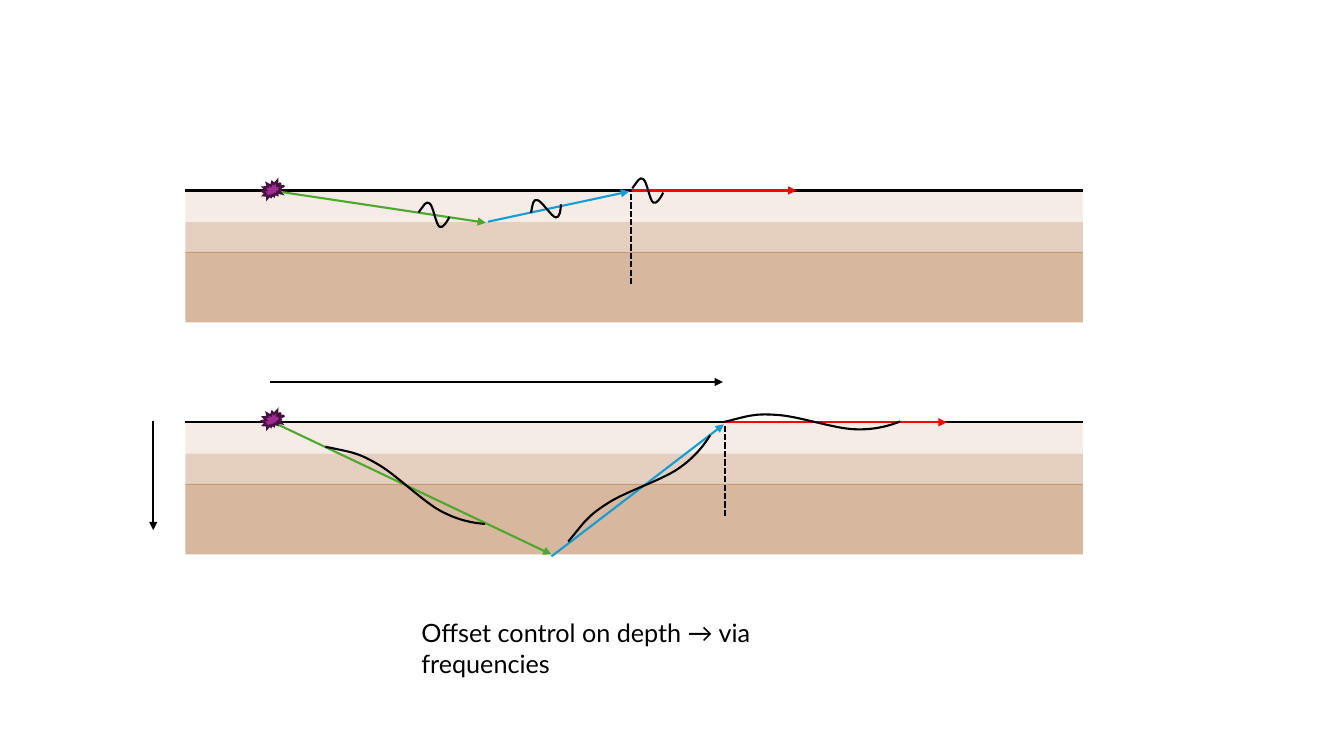
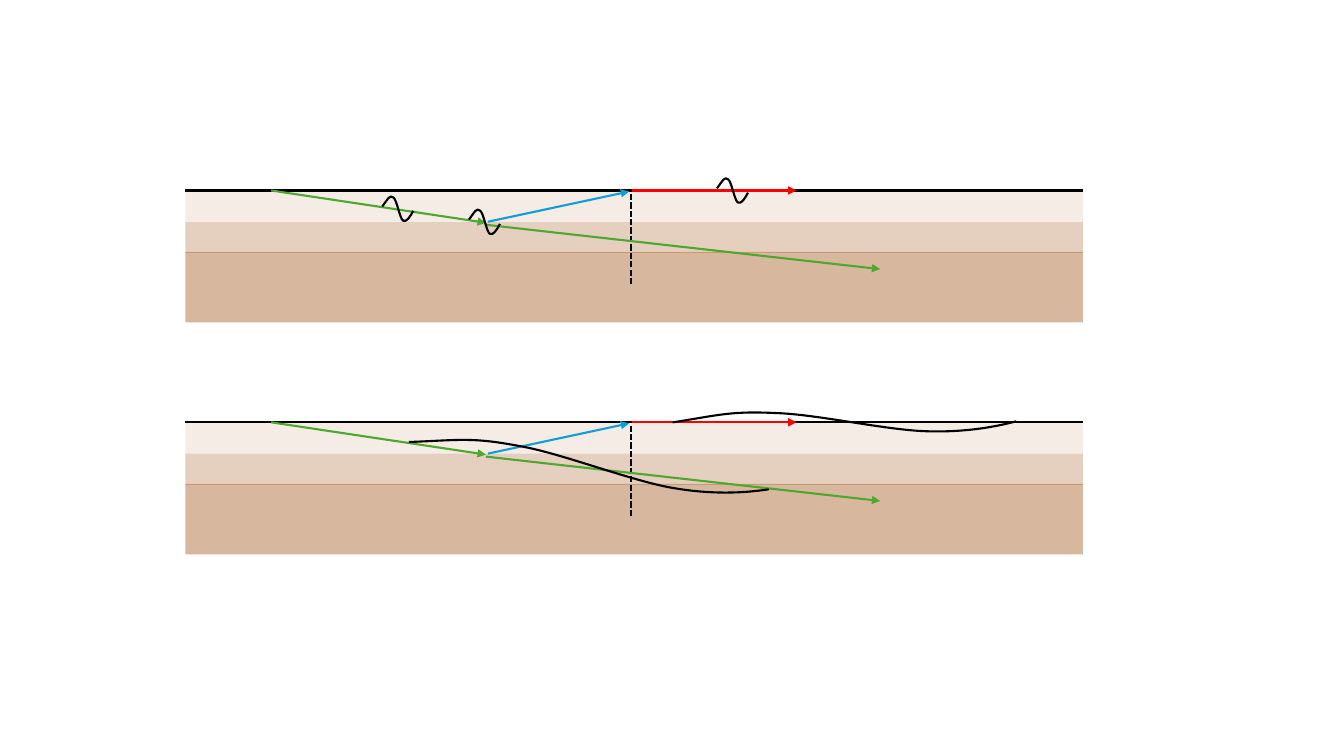
from lxml import etree
from pptx import Presentation
from pptx.dml.color import RGBColor
from pptx.enum.dml import MSO_LINE
from pptx.enum.shapes import MSO_CONNECTOR, MSO_SHAPE
from pptx.enum.text import MSO_AUTO_SIZE
from pptx.oxml.ns import qn
from pptx.util import Inches, Pt

COLORS = {
    "ground": "984500",
    "black": "000000",
    "down": "4EA72E",
    "up": "0F9ED5",
    "surface": "FF0000",
    "source": "A02B93",
    "source_edge": "461340",
}
FONT = "Lato"
LINE_WIDTH = Pt(1.5)

# Ground section: left edge, width, and (depth, height, opacity in %) of layers
LEFT, WIDTH = 1.84, 8.9
LAYERS = [(0, 0.31, 10), (0.31, 0.31, 25), (0.61, 0.7, 38)]
UPPER, LOWER = 1.89, 4.19

# One wave in percent of its box: start point, then three Bezier curves
WAVE_START = (0, 53)
WAVE_CURVES = [[(14, 13), (17, -7), (30, 4)],
               [(42, 10), (62, 93), (74, 99)],
               [(86, 106), (95, 71), (100, 47)]]
SHORT, LONG = (0.31, 0.22), (1.76, 0.15)
SHORT_TILT = 10.3


def rgb(name):
    return RGBColor.from_string(COLORS[name])


def set_line(sp, color):
    sp.line.color.rgb = rgb(color)
    sp.line.width = LINE_WIDTH


def add_line(s, start, end, color="black", arrow=True, dashed=False):
    c = s.shapes.add_connector(MSO_CONNECTOR.STRAIGHT,
                               *(Inches(v) for v in (*start, *end)))
    set_line(c, color)
    if dashed:
        c.line.dash_style = MSO_LINE.SQUARE_DOT
    spPr = c._element.spPr
    if arrow:
        etree.SubElement(spPr.find(qn("a:ln")), qn("a:tailEnd"), type="triangle")
    etree.SubElement(spPr, qn("a:effectLst"))


def add_preset(s, kind, box, color):
    sp = s.shapes.add_shape(kind, *(Inches(v) for v in box))
    sp.shadow.inherit = False
    sp.fill.solid()
    sp.fill.fore_color.rgb = rgb(color)
    return sp


def add_section(s, top):
    """Translucent layers with the ground surface on top."""
    for depth, height, opacity in LAYERS:
        box = (LEFT, top + depth, WIDTH, height)
        sp = add_preset(s, MSO_SHAPE.RECTANGLE, box, "ground")
        sp.line.fill.background()
        fill = sp._element.spPr.find(qn("a:solidFill"))
        etree.SubElement(fill[0], qn("a:alpha"), val=str(opacity * 1000))
    add_line(s, (LEFT, top), (LEFT + WIDTH, top), arrow=False)


def add_receiver(s, x, top):
    add_line(s, (x, top + 0.93), (x, top + 0.02), arrow=False, dashed=True)


def add_shallow_rays(s, top):
    add_line(s, (4.84, top + 0.31), (6.24, top + 0.01), "up")
    add_line(s, (6.27, top), (7.9, top), "surface")
    add_receiver(s, 6.26, top)
    add_line(s, (2.69, top), (4.82, top + 0.32), "down")


def add_deep_rays(s, top):
    add_line(s, (7.19, top), (9.39, top), "surface")
    add_receiver(s, 7.19, top)
    add_line(s, (2.69, top - 0.01), (5.47, top + 1.31), "down")
    add_line(s, (5.47, top + 1.33), (7.18, top + 0.02), "up")


def add_transmitted_ray(s, top):
    add_line(s, (4.82, top + 0.34), (8.73, top + 0.78), "down")


def add_source(s, top):
    sp = add_preset(s, MSO_SHAPE.EXPLOSION2, (2.6, top, 0.22, 0.18), "source")
    set_line(sp, "source_edge")
    etree.SubElement(sp._element.spPr.find(qn("a:ln")), qn("a:miter"), lim="800000")


def add_wave(s, x, y, size, tilt=0):
    builder = s.shapes.build_freeform(*WAVE_START)
    builder.add_line_segments([curve[-1] for curve in WAVE_CURVES], close=False)
    sp = builder.convert_to_shape()

    # Bend the straight segments into cubic curves
    outline = next(sp._element.iter(qn("a:path")))
    for child in list(outline):
        outline.remove(child)
    outline.set("w", "100")
    outline.set("h", "100")
    outline.set("fill", "none")
    commands = [("a:moveTo", [WAVE_START])]
    commands += [("a:cubicBezTo", curve) for curve in WAVE_CURVES]
    for tag, points in commands:
        command = etree.SubElement(outline, qn(tag))
        for px, py in points:
            etree.SubElement(command, qn("a:pt"), x=str(px), y=str(py))

    sp.left, sp.top = Inches(x), Inches(y)
    sp.width, sp.height = (Inches(v) for v in size)
    sp.rotation = tilt
    sp.shadow.inherit = False
    sp.fill.background()
    set_line(sp, "black")


def add_caption(s, text):
    box = s.shapes.add_textbox(Inches(4.08), Inches(6.08), Inches(4.72), Inches(0.4))
    tf = box.text_frame
    tf.word_wrap = False
    tf.auto_size = MSO_AUTO_SIZE.SHAPE_TO_FIT_TEXT
    p = tf.paragraphs[0]
    p.text = text
    p.font.name = FONT
    p.font.size = Pt(18)
    p.font.color.rgb = rgb("black")


def build_offset_slide(s):
    # High frequency: shallow path
    add_section(s, UPPER)
    add_shallow_rays(s, UPPER)
    add_wave(s, 5.26, 1.96, SHORT, -13.6)
    for x, y in [(4.15, 2.02), (6.27, 1.78)]:
        add_wave(s, x, y, SHORT, SHORT_TILT)

    # Low frequency: deep path
    add_section(s, LOWER)
    add_deep_rays(s, LOWER)
    for x, y, tilt in [(3.14, 4.74, 26.1), (5.46, 4.77, -36.6), (7.17, 4.11, 0)]:
        add_wave(s, x, y, LONG, tilt)

    # Sources, depth and offset arrows, caption
    for top in (1.79, 4.07):
        add_source(s, top)
    add_line(s, (1.52, 4.18), (1.52, 5.26))
    add_line(s, (2.68, 3.79), (7.17, 3.79))
    add_caption(s, "Offset control on depth → via frequencies")


def build_transmission_slide(s):
    for top in (UPPER, LOWER):
        add_section(s, top)
        add_shallow_rays(s, top)
        add_transmitted_ray(s, top)

    # High frequency above, low frequency below
    for x, y in [(4.65, 2.09), (3.79, 1.96), (7.11, 1.78)]:
        add_wave(s, x, y, SHORT, SHORT_TILT)
    add_wave(s, 4.04, 4.51, (3.6, 0.22), 7.7)
    add_wave(s, 6.67, 4.09, (3.41, 0.19))


def main():
    prs = Presentation()
    prs.slide_width, prs.slide_height = Inches(13.33), Inches(7.5)
    blank = prs.slide_layouts[6]
    for build in (build_offset_slide, build_transmission_slide):
        build(prs.slides.add_slide(blank))
    prs.save("out.pptx")


if __name__ == "__main__":
    main()
